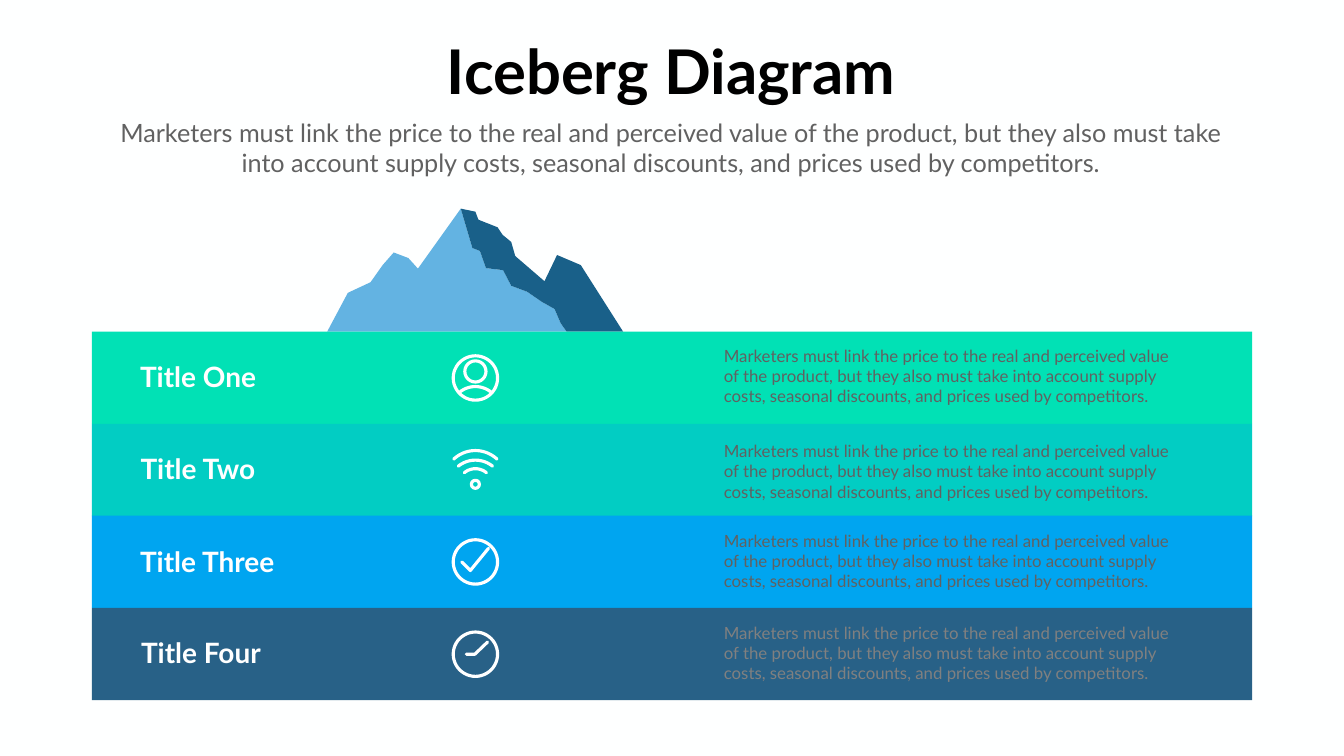
import math

from pptx import Presentation
from pptx import util as u
from pptx.dml.color import RGBColor
from pptx.enum import shapes, text

PX = 9144  # EMU per px, 100 px to the inch
PATH_UNITS = 10  # path units per px, so that curves stay smooth

WHITE = RGBColor(0xFF, 0xFF, 0xFF)
BLACK = RGBColor(0x00, 0x00, 0x00)
GRAY = RGBColor(0x61, 0x61, 0x61)
LIGHTER_GRAY = RGBColor(0x80, 0x80, 0x80)
BACKGROUND = RGBColor(0xFE, 0xFF, 0xFF)
ICE_LIGHT = RGBColor(0x63, 0xB3, 0xE2)
ICE_DARK = RGBColor(0x19, 0x60, 0x89)
GREEN = RGBColor(0x01, 0xE1, 0xB5)
TEAL = RGBColor(0x02, 0xCD, 0xC3)
BLUE = RGBColor(0x00, 0xA5, 0xF0)
NAVY = RGBColor(0x28, 0x61, 0x87)

FONT = "Lato"
DESCRIPTION = (
    "Marketers must link the price to the real and perceived value of the product, "
    "but they also must take into account supply costs, seasonal discounts, "
    "and prices used by competitors."
)

WATER_TOP, WATER_HEIGHT, BAND_HEIGHT = 658, 730, 183
ICON_X, ICON_RADIUS, ICON_STROKE = 943, 44, 4.5
ARCH_STEPS = 24

RIDGE = [(914, 414), (937, 492), (952, 498), (964, 532), (998, 536), (1014, 567),
         (1046, 579), (1075, 599), (1100, 613), (1112, 641), (1124, 658)]
LEFT_SLOPE = [(649, 658), (690, 581), (735, 560), (759, 526), (781, 501),
              (810, 512), (829, 533)]
RIGHT_SLOPE = [(1236, 658), (1152, 526), (1105, 506), (1080, 558), (1022, 508),
               (1014, 480), (997, 466), (987, 451), (949, 436), (943, 420)]


def px(length):
    return u.Emu(length * PX)


def add_solid(shape, color):
    shape.shadow.inherit = False
    shape.fill.solid()
    shape.fill.fore_color.rgb = color
    shape.line.fill.background()


def add_stroke(shape):
    """Give a shape the white, round-ended outline of the icons."""
    shape.shadow.inherit = False
    shape.fill.background()
    shape.line.color.rgb = WHITE
    shape.line.width = u.Pt(ICON_STROKE)
    shape.line._get_or_add_ln().set("cap", "rnd")


def add_path(slide, points, closed):
    vertices = [(x * PATH_UNITS, y * PATH_UNITS) for x, y in points]
    builder = slide.shapes.build_freeform(*vertices[0], scale=PX / PATH_UNITS)
    builder.add_line_segments(vertices[1:], close=closed)
    return builder.convert_to_shape()


def add_ring(slide, x, y, radius):
    ring = slide.shapes.add_shape(
        shapes.MSO_SHAPE.OVAL,
        px(x - radius), px(y - radius), px(2 * radius), px(2 * radius))
    add_stroke(ring)


def add_strokes(slide, x, y, offsets):
    add_stroke(add_path(slide, [(x + dx, y + dy) for dx, dy in offsets], closed=False))


def add_arch(slide, x, top, half_width, rise):
    """Draw the upper arc of a circle, centred on x."""
    radius = (half_width ** 2 + rise ** 2) / (2 * rise)
    half_angle = math.asin(half_width / radius)
    angles = [half_angle * (2 * step / ARCH_STEPS - 1) for step in range(ARCH_STEPS + 1)]
    add_strokes(slide, x, top + radius,
                [(radius * math.sin(a), -radius * math.cos(a)) for a in angles])


def add_user_icon(slide, x, y):
    add_ring(slide, x, y, ICON_RADIUS)
    add_ring(slide, x, y - 13, 21)
    add_arch(slide, x, y + 17, 31, 11)


def add_wifi_icon(slide, x, y):
    for offset, half_width, rise in ((-39, 43, 17), (-20, 34, 12), (-3, 22, 8)):
        add_arch(slide, x, y + offset, half_width, rise)
    add_ring(slide, x, y + 28, 8)


def add_check_icon(slide, x, y):
    add_ring(slide, x, y, ICON_RADIUS)
    add_strokes(slide, x, y, [(-27, 0), (-10, 17), (26, -27)])


def add_clock_icon(slide, x, y):
    add_ring(slide, x, y, ICON_RADIUS)
    add_strokes(slide, x, y, [(-18, 0), (-1, 0), (24, -24)])


def add_text(slide, content, left, top, width, height, size, color,
             bold=False, centered=False, wrap=True):
    box = slide.shapes.add_textbox(px(left), px(top), px(width), px(height))
    frame = box.text_frame
    frame.word_wrap = wrap
    frame.auto_size = text.MSO_AUTO_SIZE.SHAPE_TO_FIT_TEXT
    paragraph = frame.paragraphs[0]
    paragraph.alignment = text.PP_ALIGN.CENTER if centered else text.PP_ALIGN.LEFT
    run = paragraph.add_run()
    run.text = content
    run.font.name = FONT
    run.font.size = u.Pt(size)
    run.font.bold = bold
    run.font.color.rgb = color


def add_band(slide, top, color, title, title_box, description_top, description_color,
             add_icon):
    band = slide.shapes.add_shape(
        shapes.MSO_SHAPE.RECTANGLE, px(182), px(top), px(2302), px(BAND_HEIGHT))
    add_solid(band, color)
    add_icon(slide, ICON_X, top + 92)
    left, title_top, width = title_box
    add_text(slide, title, left, title_top, width, 77, size=40, color=WHITE, bold=True)
    add_text(slide, DESCRIPTION, 1426, description_top, 910, 131, size=24,
             color=description_color)


def main():
    presentation = Presentation()
    presentation.slide_width = px(2666)
    presentation.slide_height = px(1500)
    slide = presentation.slides.add_slide(presentation.slide_layouts[6])
    slide.background.fill.solid()
    slide.background.fill.fore_color.rgb = BACKGROUND

    add_solid(add_path(slide, LEFT_SLOPE + RIDGE, closed=True), ICE_LIGHT)
    add_solid(add_path(slide, RIDGE + RIGHT_SLOPE, closed=True), ICE_DARK)

    bands = [
        (GREEN, "Title One", (268, 708, 257), 681, GRAY, add_user_icon),
        (TEAL, "Title Two", (269, 891, 257), 870, GRAY, add_wifi_icon),
        (BLUE, "Title Three", (268, 1075, 303), 1048, GRAY, add_check_icon),
        (NAVY, "Title Four", (270, 1257, 284), 1230, LIGHTER_GRAY, add_clock_icon),
    ]
    for index, band in enumerate(bands):
        top = WATER_TOP + math.ceil(index * WATER_HEIGHT / len(bands))
        add_band(slide, top, *band)

    add_text(slide, "Iceberg Diagram", 866, 61, 930, 158, size=88, color=BLACK,
             bold=True, centered=True, wrap=False)
    add_text(slide, DESCRIPTION, 220, 227, 2221, 131, size=36, color=GRAY, centered=True)

    presentation.save("out.pptx")


if __name__ == "__main__":
    main()
